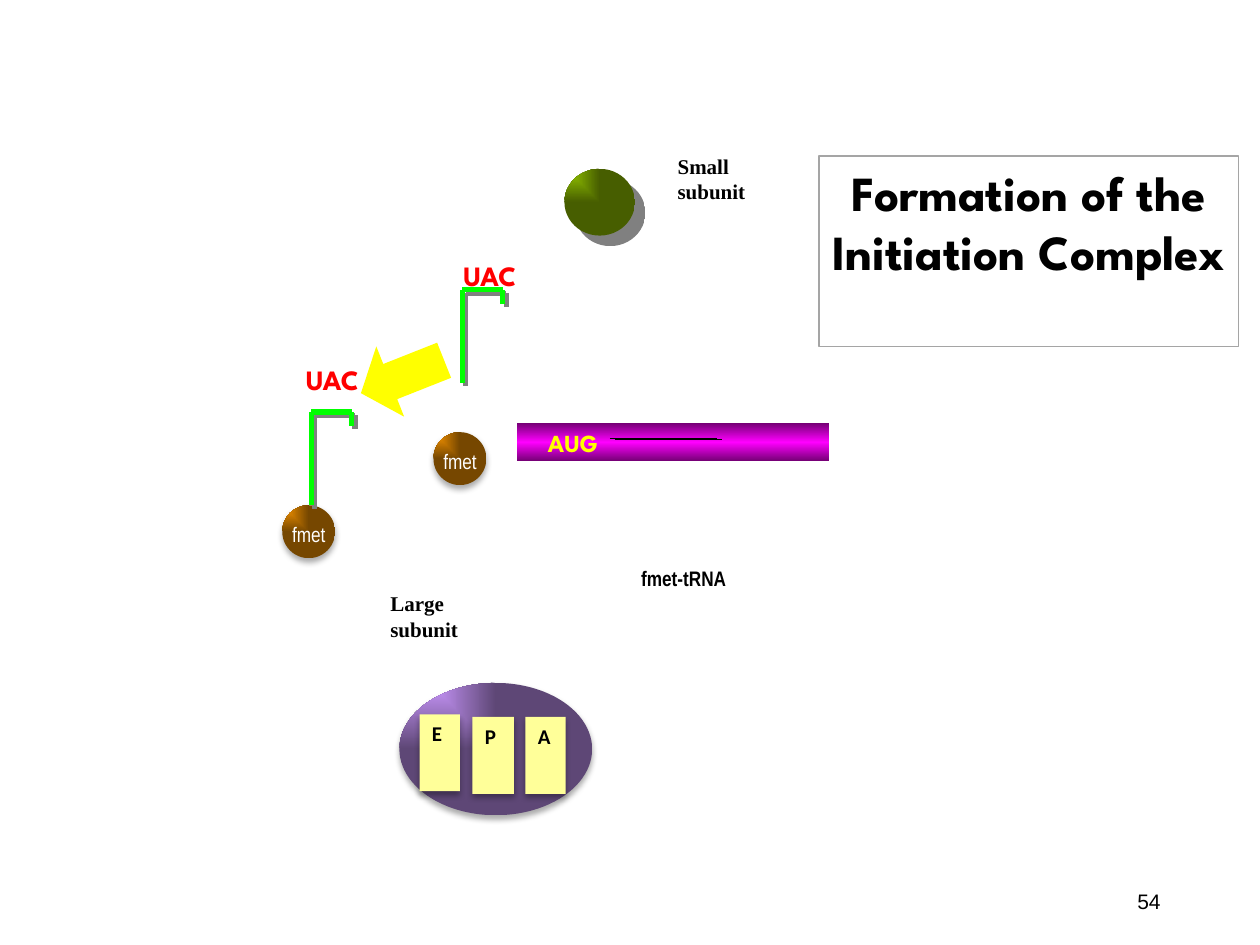
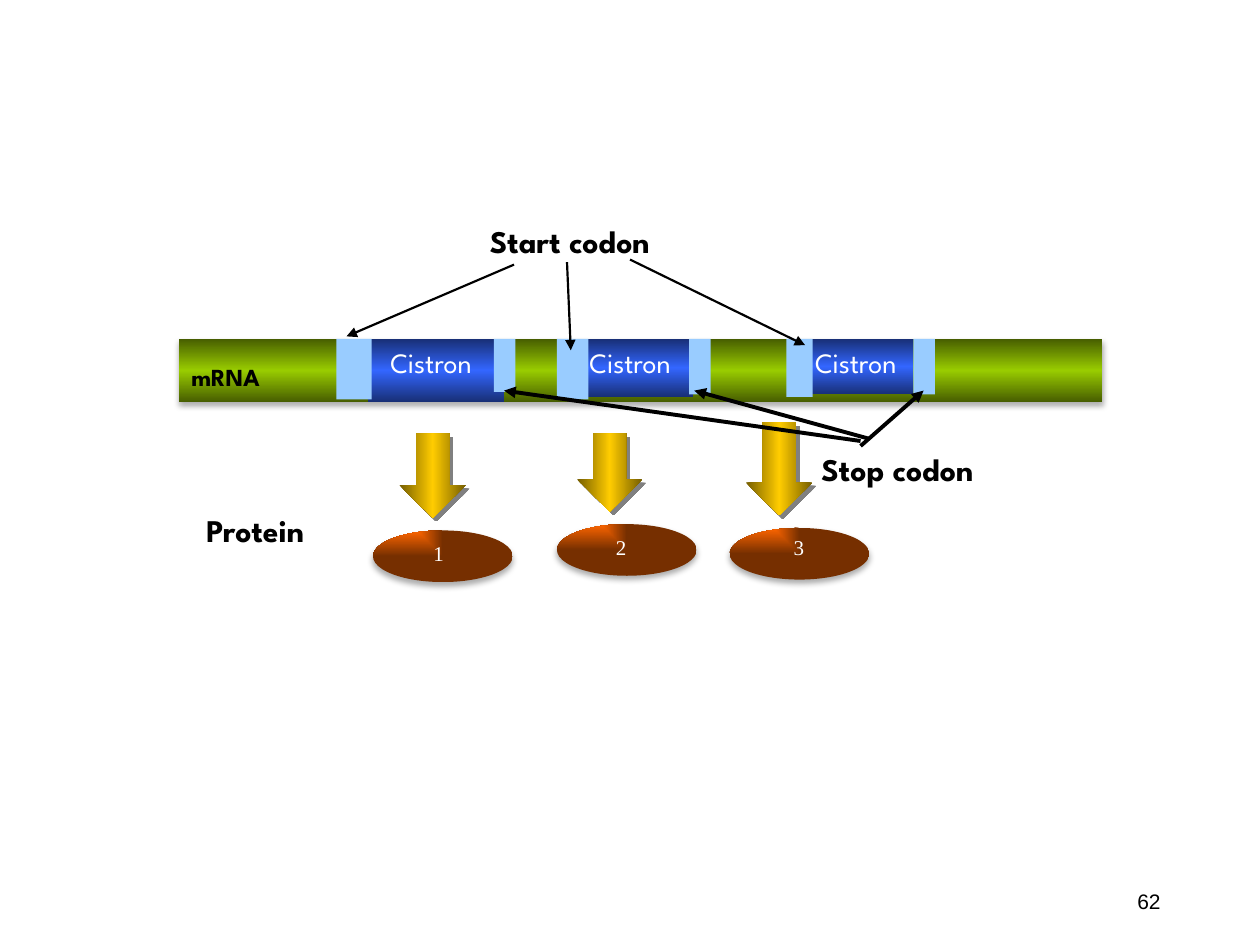
from lxml.etree import SubElement
from pptx import Presentation
from pptx.dml.color import RGBColor
from pptx.enum.shapes import MSO_CONNECTOR as CONN, MSO_SHAPE as SHAPE
from pptx.enum.text import MSO_ANCHOR as ANCHOR, MSO_AUTO_SIZE as AUTO, PP_ALIGN as ALIGN
from pptx.oxml import parse_xml
from pptx.oxml.ns import qn
from pptx.util import Inches, Pt

HEX = dict(black="000000", white="FFFFFF", grey="808080", edge="A5A5A5",
           red="FF0000", yellow="FFFF00", cream="FFFF99", lime="00FF00",
           pink="FF00FF", violet="CC99FF", orange="FF9900", olive="99CC00",
           blue="3366FF", sky="99CCFF", gold="FFCC00", rust="FF6600")
SHADE = 0.46275
NS = 'xmlns:a="http://schemas.openxmlformats.org/drawingml/2006/main"'

# Shadow: colour, opacity %, blur pt, distance pt, angle
SOFT = ("black", 32, 3.5, 2.2, 90)
HARD = ("grey", 100, 0, 2.8, 45)
FAR = ("grey", 100, 0, 8.5, 45)

# Text styles
SPARTAN = dict(name="League Spartan", bold=True)
TIMES = dict(name="Times New Roman", size=12)
NARROW = dict(name="Arial Narrow", size=12)
STYLE = dict(
    title=dict(SPARTAN, size=28), head=dict(SPARTAN, size=18),
    tag=dict(SPARTAN, size=14), aug=dict(SPARTAN, size=14, color="yellow"),
    anti=dict(SPARTAN, size=16, color="red"),
    gene=dict(SPARTAN, size=16, bold=False, color="white"),
    unit=dict(TIMES, bold=True), digit=dict(TIMES, color="white"),
    trna=dict(NARROW, bold=True), fmet=dict(NARROW, color="white"),
    site=dict(name="Calibri", size=12, bold=True),
    page=dict(name="Arial", size=12))

# Slide 1
TITLE = "Formation of the Initiation Complex"
SITES = [("P", 3.75, 5.69, 0.33), ("A", 4.17, 5.69, 0.32), ("E", 3.33, 5.67, 0.32)]
TRNAS = [((3.44, 3.43), (3.67, 2.3), (3.58, 2)),      # ball, bend, anticodon
         ((2.24, 4.01), (2.47, 3.27), (2.33, 2.83))]
HOOK = [((0.32, 0), (0, 0)), ((0, 0), (0, 0.74)), ((0.32, 0), (0.32, 0.11))]
NOTES1 = [("Large subunit", (3, 4.64, 0.74, 0.42), "unit"),
          ("Small subunit", (5.28, 1.17, 0.74, 0.42), "unit"),
          ("fmet-tRNA", (4.99, 4.44, 0.95, 0.32), "trna"),
          ("AUG", (4.25, 3.35, 0.63, 0.2), "aug")]

# Slide 2: cistron, start and stop codons are (left, width, height)
TOP = 2.69
GENES = [
    dict(bar=(2.92, 1.08, 0.5), start=(2.67, 0.28, 0.48), stop=(3.92, 0.17, 0.42),
         name=3, oval=(2.96, 4.21), arrow=(3.17, 3.44, 0.53, 0.67), digit=(3.34, 4.24)),
    dict(bar=(4.59, 0.91, 0.46), start=(4.42, 0.25, 0.48), stop=(5.47, 0.17, 0.44),
         name=4.58, oval=(4.42, 4.16), arrow=(4.58, 3.44, 0.52, 0.62), digit=(4.79, 4.19)),
    dict(bar=(6.42, 0.83, 0.44), start=(6.24, 0.21, 0.46), stop=(7.25, 0.17, 0.44),
         name=6.37, oval=(5.79, 4.19), arrow=(5.92, 3.35, 0.53, 0.74), digit=(6.2, 4.19))]
STARTS = [((4.08, 2.1), (2.75, 2.67)), ((4.5, 2.08), (4.53, 2.78)), ((5, 2.06), (6.39, 2.74))]
STOPS = [((6.83, 3.54), (7.33, 3.1)), ((6.89, 3.48), (5.51, 3.1)), ((6.83, 3.5), (4, 3.1))]
NOTES2 = [("Start codon", (3.79, 1.71, 1.96, 0.41), "head"),
          ("Stop codon", (6.42, 3.52, 2.08, 0.41), "head"),
          ("Protein", (1.54, 4.01, 1.12, 0.5), "head"),
          ("mRNA", (1.42, 2.82, 1.25, 0.41), "tag")]


def rgb(name):
    return RGBColor.from_string(HEX[name])


def dark(name):
    """Return the shaded hex value that ends a gradient."""
    return "".join(f"{round(v * SHADE):02X}" for v in rgb(name))


def blend(shape, name, kind):
    """Fill with a gradient: 'corner' from top left, or an axis angle."""
    light, deep = HEX[name], dark(name)
    if kind == "corner":
        stops = [(0, light), (100, deep)]
        way = '<a:path path="rect"><a:fillToRect r="100000" b="100000"/></a:path>'
    else:
        stops = [(0, deep), (50, light), (100, deep)]
        way = f'<a:lin ang="{kind * 60000}" scaled="1"/>'
    marks = "".join(f'<a:gs pos="{p * 1000}"><a:srgbClr val="{c}"/></a:gs>' for p, c in stops)
    shape.fill.background()
    props = shape.element.spPr
    props.replace(props.find(qn("a:noFill")), parse_xml(
        f'<a:gradFill {NS} rotWithShape="1"><a:gsLst>{marks}</a:gsLst>{way}</a:gradFill>'))


def cast(item, shadow):
    """Give an item its own shadow, or none."""
    fx = SubElement(item.element.spPr, qn("a:effectLst"))
    if shadow:
        name, alpha, blur, dist, turn = shadow
        fx.append(parse_xml(
            f'<a:outerShdw {NS} blurRad="{Pt(blur)}" dist="{Pt(dist)}" dir="{turn * 60000}" '
            f'algn="ctr" rotWithShape="0"><a:srgbClr val="{HEX[name]}">'
            f'<a:alpha val="{alpha * 1000}"/></a:srgbClr></a:outerShdw>'))


def write(shape, text, style, align=ALIGN.LEFT, anchor=ANCHOR.TOP):
    frame = shape.text_frame
    frame.text = text
    for key, val in dict(word_wrap=True, auto_size=AUTO.NONE, vertical_anchor=anchor).items():
        setattr(frame, key, val)
    para = frame.paragraphs[0]
    para.alignment = align
    look = dict(STYLE[style])
    font = para.runs[0].font
    font.color.rgb = rgb(look.pop("color", "black"))
    look["size"] = Pt(look["size"])
    for key, val in look.items():
        setattr(font, key, val)


def label(slide, text, box, style, **how):
    write(slide.shapes.add_textbox(*map(Inches, box)), text, style, **how)


def draw(slide, kind, box, color, grad=None, shadow=None):
    shape = slide.shapes.add_shape(kind, *map(Inches, box))
    if grad is None:
        shape.fill.solid()
        shape.fill.fore_color.rgb = rgb(color)
    else:
        blend(shape, color, grad)
    shape.line.fill.background()
    cast(shape, shadow)
    return shape


def link(slide, start, end, color, width, shadow=None, arrow=False):
    line = slide.shapes.add_connector(CONN.STRAIGHT, *map(Inches, (*start, *end)))
    line.line.color.rgb = rgb(color)
    line.line.width = Pt(width)
    if arrow:
        SubElement(line.line._get_or_add_ln(), qn("a:tailEnd"), type="triangle")
    cast(line, shadow)


def shift(point, by):
    return point[0] + by[0], point[1] + by[1]


def page(deck, layout, number):
    slide = deck.slides.add_slide(deck.slide_layouts[layout])
    label(slide, number, (7.06, 6.95, 2.25, 0.4), "page", align=ALIGN.RIGHT, anchor=ANCHOR.MIDDLE)
    return slide


def trna(slide, ball, bend, tag):
    draw(slide, SHAPE.OVAL, (*ball, 0.42, 0.42), "orange", "corner", SOFT)
    label(slide, "fmet", (*shift(ball, (-0.02, 0.08)), 0.53, 0.21), "fmet")
    for start, end in HOOK:
        link(slide, shift(bend, start), shift(bend, end), "lime", 3, HARD)
    label(slide, "UAC", (*tag, 0.83, 0.37), "anti")


def complex_slide(deck):
    slide = page(deck, 5, "54")
    title = slide.shapes.title
    for key, val in zip(("left", "top", "width", "height"), (6.5, 1.24, 3.33, 1.51)):
        setattr(title, key, Inches(val))
    title.fill.solid()
    title.fill.fore_color.rgb = rgb("white")
    title.line.color.rgb = rgb("edge")
    title.line.width = Pt(1)
    write(title, TITLE, "title", align=ALIGN.CENTER)

    draw(slide, SHAPE.OVAL, (3.17, 5.42, 1.53, 1.05), "violet", "corner", SOFT)
    for name, left, top, width in SITES:
        site = draw(slide, SHAPE.RECTANGLE, (left, top, width, 0.61), "cream", shadow=SOFT)
        write(site, name, "site")
    draw(slide, SHAPE.OVAL, (4.48, 1.34, 0.56, 0.53), "olive", "corner", FAR)
    draw(slide, SHAPE.RECTANGLE, (4.1, 3.36, 2.48, 0.3), "pink", 90)
    for left, top in ((4.84, 3.48), (4.88, 3.49)):
        link(slide, (left, top), (left + 0.85, top), "black", 0.75)
    for parts in TRNAS:
        trna(slide, *parts)
    arrow = draw(slide, SHAPE.LEFT_ARROW, (2.84, 2.69, 0.71, 0.6), "yellow")
    arrow.rotation = 338.4
    arrow.adjustments[1] = 0.417
    for note in NOTES1:
        label(slide, *note)


def cistron_slide(deck):
    slide = page(deck, 6, "62")
    draw(slide, SHAPE.RECTANGLE, (1.42, TOP, 7.33, 0.5), "olive", 90, SOFT)
    for count, gene in enumerate(GENES, 1):
        for part, color, grad in (("bar", "blue", 90), ("start", "sky", None), ("stop", "sky", None)):
            left, width, height = gene[part]
            draw(slide, SHAPE.RECTANGLE, (left, TOP, width, height), color, grad)
        draw(slide, SHAPE.OVAL, (*gene["oval"], 1.11, 0.41), "rust", "corner", SOFT)
        arrow = draw(slide, SHAPE.DOWN_ARROW, gene["arrow"], "gold", 0, HARD)
        arrow.adjustments[1] = 0.491
        label(slide, "Cistron", (gene["name"], TOP, 1.08, 0.42), "gene")
        label(slide, str(count), (*gene["digit"], 0.42, 0.27), "digit")
    for ends, width in ((STARTS, 1.25), (STOPS, 2.25)):
        for start, end in ends:
            link(slide, start, end, "black", width, arrow=True)
    for note in NOTES2:
        label(slide, *note)


def main():
    deck = Presentation()
    deck.slide_width, deck.slide_height = Inches(10), Inches(7.5)
    complex_slide(deck)
    cistron_slide(deck)
    deck.save("out.pptx")


if __name__ == "__main__":
    main()
